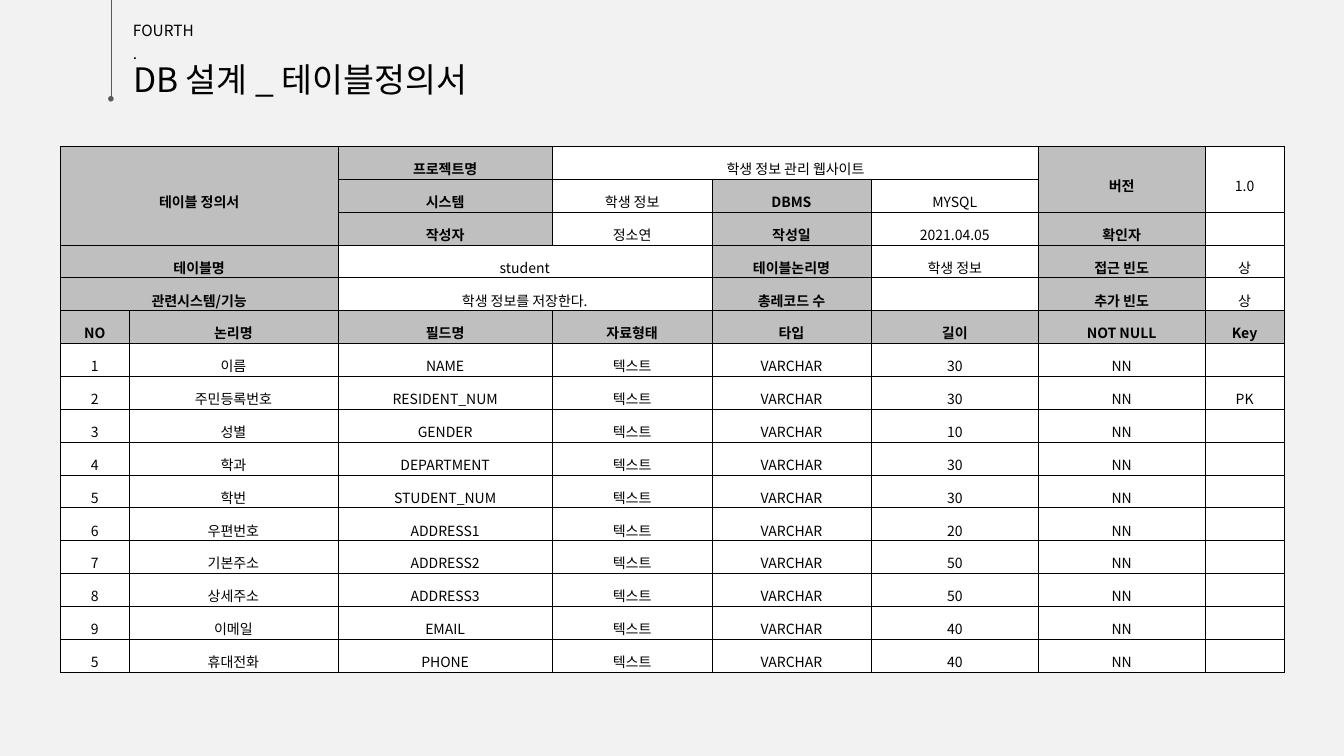
from dataclasses import dataclass

from lxml import etree
from pptx import Presentation
from pptx.dml.color import RGBColor
from pptx.enum.shapes import MSO_CONNECTOR
from pptx.enum.text import MSO_ANCHOR, MSO_AUTO_SIZE, PP_ALIGN
from pptx.oxml.ns import qn
from pptx.util import Inches, Pt

BACKGROUND = RGBColor(0xF2, 0xF2, 0xF2)
BLACK = RGBColor(0, 0, 0)
WHITE = RGBColor(0xFF, 0xFF, 0xFF)
HEADER_GRAY = RGBColor(0xBF, 0xBF, 0xBF)
LINE_GRAY = RGBColor(0x59, 0x59, 0x59)
STRAIGHT = MSO_CONNECTOR.STRAIGHT
CENTER, LEFT = PP_ALIGN.CENTER, PP_ALIGN.LEFT
MIDDLE, TOP = MSO_ANCHOR.MIDDLE, MSO_ANCHOR.TOP
NO_AUTO_SIZE = MSO_AUTO_SIZE.NONE
FONT_NAME = "Noto Sans CJK KR"
TITLE_ONLY_LAYOUT = 5
FIELD_HEADER_ROW = 5


@dataclass(frozen=True)
class Span:
    row: int
    column: int
    height: int
    width: int


@dataclass(frozen=True)
class Field:
    number: str
    label: str
    name: str
    length: str
    key: str = ""

    def cells(self) -> tuple:
        return (self.number, self.label, self.name, "텍스트", "VARCHAR",
                self.length, "NN", self.key)


COLUMN_WIDTHS = (0.68, 2.07, 2.13, 1.58, 1.58, 1.66, 1.65, 0.79)
SPANS = (
    Span(0, 0, 3, 2), Span(0, 3, 1, 3), Span(0, 6, 2, 1), Span(0, 7, 2, 1),
    Span(3, 0, 1, 2), Span(3, 2, 1, 2), Span(4, 0, 1, 2), Span(4, 2, 1, 2),
)
SUMMARY = (
    ("테이블 정의서", "", "프로젝트명", "학생 정보 관리 웹사이트", "", "", "버전", "1.0"),
    ("", "", "시스템", "학생 정보", "DBMS", "MYSQL", "", ""),
    ("", "", "작성자", "정소연", "작성일", "2021.04.05", "확인자", ""),
    ("테이블명", "", "student", "", "테이블논리명", "학생 정보", "접근 빈도", "상"),
    ("관련시스템/기능", "", "학생 정보를 저장한다.", "", "총레코드 수", "", "추가 빈도", "상"),
    ("NO", "논리명", "필드명", "자료형태", "타입", "길이", "NOT NULL", "Key"),
)
FIELDS = (
    Field("1", "이름", "NAME", "30"),
    Field("2", "주민등록번호", "RESIDENT_NUM", "30", "PK"),
    Field("3", "성별", "GENDER", "10"),
    Field("4", "학과", "DEPARTMENT", "30"),
    Field("5", "학번", "STUDENT_NUM", "30"),
    Field("6", "우편번호", "ADDRESS1", "20"),
    Field("7", "기본주소", "ADDRESS2", "50"),
    Field("8", "상세주소", "ADDRESS3", "50"),
    Field("9", "이메일", "EMAIL", "40"),
    Field("5", "휴대전화", "PHONE", "40"),
)


def apply_format(target, values: dict) -> None:
    for name, value in values.items():
        setattr(target, name, value)


def write_text(paragraph, text: str, size: float, spacing: float, alignment, bold: bool = False) -> None:
    apply_format(paragraph, {"alignment": alignment, "line_spacing": spacing})
    if not text:
        etree.SubElement(paragraph._p, qn("a:endParaRPr"), sz=str(int(size * 100)))
        return
    run = paragraph.add_run()
    run.text = text
    apply_format(run.font, {"name": FONT_NAME, "size": Pt(size), "bold": bold})
    run.font.color.rgb = BLACK
    etree.SubElement(run._r.get_or_add_rPr(), qn("a:ea"), typeface=FONT_NAME)


def add_heading(shape, text: str, box: tuple, size: float) -> None:
    position = zip(("left", "top", "width", "height"), map(Inches, box))
    apply_format(shape, dict(position))
    frame = shape.text_frame
    apply_format(frame, {
        "word_wrap": True, "auto_size": NO_AUTO_SIZE, "vertical_anchor": TOP,
        "margin_left": Inches(0.1), "margin_right": Inches(0.08),
        "margin_top": Inches(0.05), "margin_bottom": Inches(0.05),
    })
    write_text(frame.paragraphs[0], text, size, 1.24, LEFT)


def add_marker_line(slide) -> None:
    connector = slide.shapes.add_connector(
        STRAIGHT, Inches(1.1), Inches(0), Inches(1.1), Inches(0.98))
    connector.line.color.rgb = LINE_GRAY
    connector.line.width = Pt(0.25)
    etree.SubElement(connector.line._get_or_add_ln(), qn("a:tailEnd"),
                     type="oval", w="sm", len="sm")
    etree.SubElement(connector._element.spPr, qn("a:effectLst"))


def is_header(row: int, column: int) -> bool:
    if row >= FIELD_HEADER_ROW:
        return row == FIELD_HEADER_ROW
    return column in ((0, 2, 4, 6) if row < 3 else (0, 4, 6))


def add_borders(cell) -> None:
    properties = cell._tc.get_or_add_tcPr()
    for side in ("lnL", "lnR", "lnT", "lnB"):
        line = etree.SubElement(properties, qn(f"a:{side}"), w=str(Pt(0.28)))
        fill = etree.SubElement(line, qn("a:solidFill"))
        etree.SubElement(fill, qn("a:srgbClr"), val=str(BLACK))


def format_cell(cell, text: str, header: bool) -> None:
    apply_format(cell, {
        "vertical_anchor": MIDDLE,
        "margin_left": Inches(0.07), "margin_right": Inches(0.07),
        "margin_top": Inches(0), "margin_bottom": Inches(0),
    })
    add_borders(cell)
    cell.fill.solid()
    cell.fill.fore_color.rgb = HEADER_GRAY if header else WHITE
    write_text(cell.text_frame.paragraphs[0], text, 10, 1.6, CENTER, header)


def add_definition_table(slide) -> None:
    rows = SUMMARY + tuple(field.cells() for field in FIELDS)
    table = slide.shapes.add_table(
        len(rows), len(COLUMN_WIDTHS),
        Inches(0.6), Inches(1.45), Inches(12.14), Inches(5.22)).table
    for column, width in zip(table.columns, COLUMN_WIDTHS):
        column.width = Inches(width)
    for row_index, row in enumerate(rows):
        for column_index, text in enumerate(row):
            format_cell(table.cell(row_index, column_index), text,
                        is_header(row_index, column_index))
    for span in SPANS:
        last = table.cell(span.row + span.height - 1, span.column + span.width - 1)
        table.cell(span.row, span.column).merge(last)


def main() -> None:
    presentation = Presentation()
    presentation.slide_width = Inches(13.33)
    presentation.slide_height = Inches(7.5)
    slide = presentation.slides.add_slide(presentation.slide_layouts[TITLE_ONLY_LAYOUT])
    slide.background.fill.solid()
    slide.background.fill.fore_color.rgb = BACKGROUND
    section_box = slide.shapes.add_textbox(0, 0, 0, 0)
    add_heading(section_box, "FOURTH.", (1.22, 0.12, 0.81, 0.32), 11)
    add_heading(slide.shapes.title, "DB 설계 _ 테이블정의서", (1.22, 0.44, 3.83, 0.55), 24)
    add_marker_line(slide)
    add_definition_table(slide)
    presentation.save("out.pptx")


if __name__ == "__main__":
    main()
